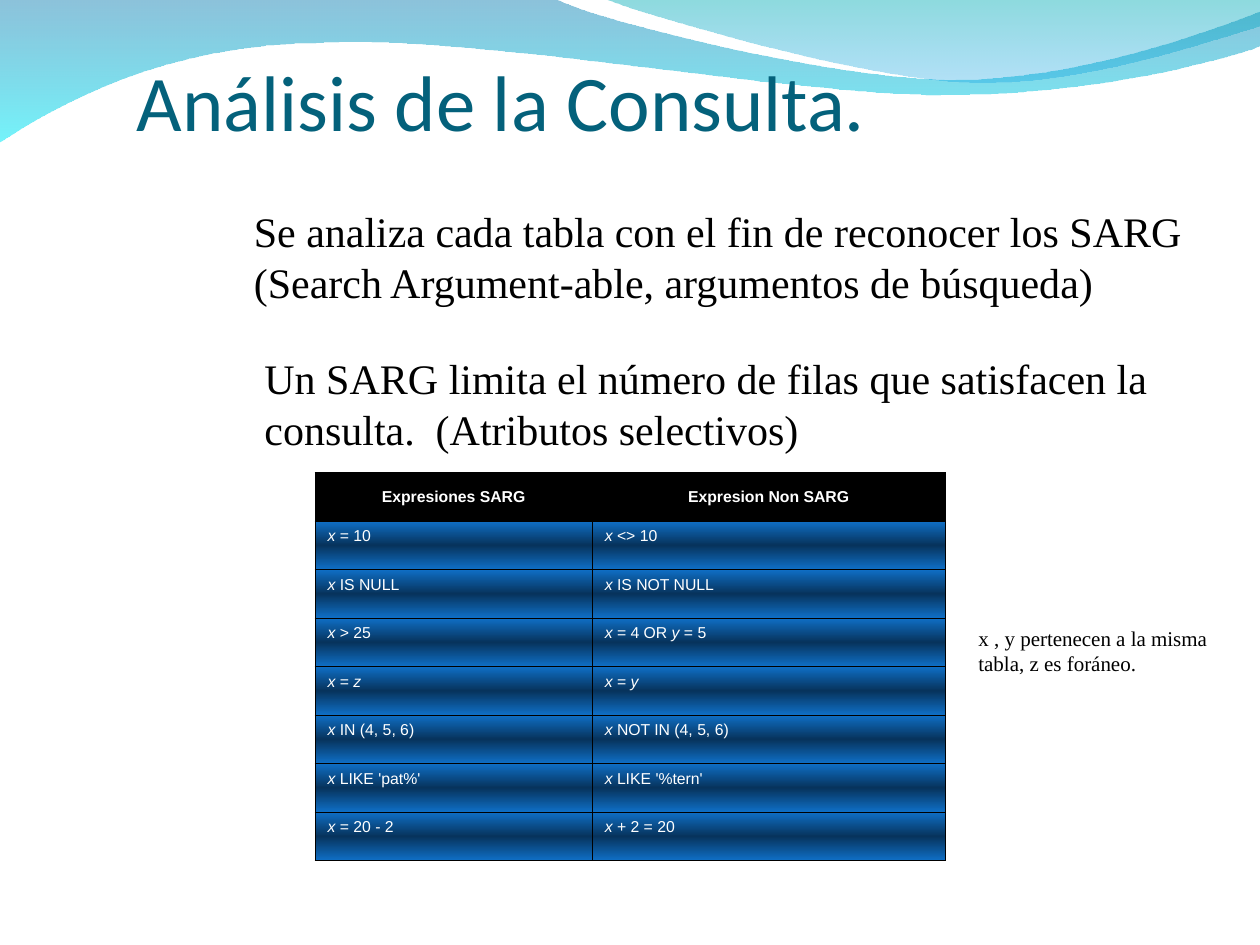
from dataclasses import dataclass
from lxml import etree
from pptx import Presentation, util as u
from pptx.dml.color import RGBColor
from pptx.enum import text as t
from pptx.oxml import ns


@dataclass(frozen=True)
class Theme:
    """Colours, fonts and type sizes; a stop is (percent, colour, opacity)."""
    ink: str = "000000"
    pale: str = "FFFFFF"
    title: str = "04617B"
    wave: tuple = ((0, "0079AF", 45), (100, "00EBF8", 55))
    crest: tuple = ((0, "00ADB6", 45), (100, "009BE5", 30))
    row: tuple = ((0, "0F6FC6", 100), (50, "07335C", 100), (100, "0F6FC6", 100))
    head_font: str = "Calibri"
    body_font: str = "Times New Roman"
    cell_font: str = "Arial"
    big: float = 45
    body: float = 24
    note: float = 12
    cell: float = 9
    rule: float = 0.45


@dataclass(frozen=True)
class Box:
    """Place on a grid of 120 columns by 90 rows."""
    col: float
    row: float
    wide: float
    high: float

    def place(self) -> tuple:
        return tuple(map(unit, (self.col, self.row, self.wide, self.high)))


@dataclass(frozen=True)
class Note:
    words: str
    box: Box
    size: float


@dataclass(frozen=True)
class Wave:
    """Start point, then steps: two numbers draw a line, six a curve (inches)."""
    start: tuple
    steps: tuple
    stops: tuple


THEME = Theme()
COLS, ROWS = 120, 90
INSET = dict(margin_left=0.1, margin_top=0.05, margin_right=0.1, margin_bottom=0.05)

WAVES = (
    Wave((0, -0.01), (
        (4.4, -0.01), (4.76, 0.17, 6.64, 0.63, 7.58, 0.63),
        (8.53, 0.63, 9.58, 0.26, 10, 0.09), (10.01, 0.36),
        (9.83, 0.44, 8.7, 0.76, 7.46, 0.75), (6.22, 0.75, 3.82, 0.28, 2.57, 0.34),
        (1.29, 0.35, 0.46, 0.83, -0.01, 1.13)), THEME.wave),
    Wave((4.79, -0.01), (
        (5.09, 0.11, 6.82, 0.62, 7.69, 0.65), (8.56, 0.69, 9.61, 0.32, 10, 0.21),
        (10, 0)), THEME.crest),
)

NOTES = (
    Note("Se analiza cada tabla con el fin de reconocer los SARG "
         "(Search Argument-able, argumentos de búsqueda)", Box(23, 19, 93, 10.8), THEME.body),
    Note("Un SARG limita el número de filas que satisfacen la consulta.  "
         "(Atributos selectivos)", Box(24, 33, 93, 10.8), THEME.body),
    Note("x , y pertenecen a la misma tabla, z es foráneo.", Box(92, 59, 28, 6), THEME.note),
)

# Words between asterisks are italic
HEADS = ("Expresiones SARG", "Expresion Non SARG")
PAIRS = (
    ("*x* = 10", "*x* <> 10"),
    ("*x* IS NULL", "*x* IS NOT NULL"),
    ("*x* > 25", "*x* = 4 OR *y* = 5"),
    ("*x* = *z*", "*x* = *y*"),
    ("*x* IN (4, 5, 6)", "*x* NOT IN (4, 5, 6)"),
    ("*x* LIKE 'pat%'", "*x* LIKE '%tern'"),
    ("*x *= 20 - 2", "*x *+ 2 = 20"),
)
GRID = Box(30, 45, 60, 37)
SHARES = (0.44, 0.56)


def unit(cells: float) -> int:
    return u.Inches(cells / 12)


def apply(item, values: dict) -> None:
    for name, value in values.items():
        setattr(item, name, value)


def inset(item, values: dict) -> None:
    apply(item, {name: u.Inches(size) for name, size in values.items()})


def style(font, face: str, size: float, color: str, **more) -> None:
    apply(font, dict(name=face, size=u.Pt(size), **more))
    font.color.rgb = RGBColor.from_string(color)


def shade(fill, root, stops: tuple) -> None:
    """Give a fill a top-to-bottom gradient."""
    fill.gradient()
    fill.gradient_angle = 270
    items = root.find(".//" + ns.qn("a:gsLst"))
    for old in list(items):
        items.remove(old)
    for spot, color, alpha in stops:
        stop = etree.SubElement(items, ns.qn("a:gs"), pos=str(spot * 1000))
        tint = etree.SubElement(stop, ns.qn("a:srgbClr"), val=color)
        if alpha < 100:
            etree.SubElement(tint, ns.qn("a:alpha"), val=str(alpha * 1000))


def bend(shape, steps: tuple) -> None:
    """Join the three line points of each six-number step into one curve."""
    lines = iter(shape._element.findall(".//" + ns.qn("a:lnTo")))
    for step in steps:
        line = next(lines)
        if len(step) == 6:
            line.tag = ns.qn("a:cubicBezTo")
            for _ in range(2):
                extra = next(lines)
                line.append(extra[0])
                extra.getparent().remove(extra)


def draw_wave(slide, wave: Wave) -> None:
    flat = [u.Inches(n) for step in (wave.start, *wave.steps) for n in step]
    first, *rest = zip(flat[::2], flat[1::2])
    form = slide.shapes.build_freeform(*first)
    form.add_line_segments(rest, close=True)
    shape = form.convert_to_shape()
    bend(shape, wave.steps)
    shape.shadow.inherit = False
    shape.line.fill.background()
    shade(shape.fill, shape._element, wave.stops)


def draw_title(slide, words: str, box: Box) -> None:
    title = slide.shapes.title
    apply(title, dict(zip(("left", "top", "width", "height"), box.place())))
    frame = title.text_frame
    apply(frame, dict(text=words, word_wrap=True, auto_size=t.MSO_AUTO_SIZE.NONE,
                      vertical_anchor=t.MSO_ANCHOR.BOTTOM))
    inset(frame, dict(INSET, margin_left=0, margin_right=0, margin_bottom=0))
    line = frame.paragraphs[0]
    line.alignment = t.PP_ALIGN.LEFT
    style(line.font, THEME.head_font, THEME.big, THEME.title)
    slide.shapes._spTree.append(title._element)  # in front of the waves


def draw_note(slide, note: Note) -> None:
    frame = slide.shapes.add_textbox(*note.box.place()).text_frame
    apply(frame, dict(word_wrap=True, text=note.words))
    inset(frame, INSET)
    style(frame.paragraphs[0].font, THEME.body_font, note.size, THEME.ink)


def border(cell) -> None:
    props = cell._tc.get_or_add_tcPr()
    for i, side in enumerate(("lnL", "lnR", "lnT", "lnB")):
        line = etree.Element(ns.qn("a:" + side), w=str(u.Pt(THEME.rule)))
        fill = etree.SubElement(line, ns.qn("a:solidFill"))
        etree.SubElement(fill, ns.qn("a:srgbClr"), val=THEME.ink)
        props.insert(i, line)


def draw_cell(cell, words: str, head: bool) -> None:
    inset(cell, INSET)
    cell.vertical_anchor = t.MSO_ANCHOR.MIDDLE if head else t.MSO_ANCHOR.TOP
    line = cell.text_frame.paragraphs[0]
    line.alignment = t.PP_ALIGN.CENTER if head else t.PP_ALIGN.LEFT
    for i, part in enumerate(words.split("*")):
        if part:
            run = line.add_run()
            run.text = part
            style(run.font, THEME.cell_font, THEME.cell, THEME.pale,
                  bold=head, italic=i % 2 == 1)
    if head:
        cell.fill.solid()
        cell.fill.fore_color.rgb = RGBColor.from_string(THEME.ink)
    else:
        shade(cell.fill, cell._tc, THEME.row)
    border(cell)


def draw_table(slide) -> None:
    lines = (HEADS, *PAIRS)
    table = slide.shapes.add_table(len(lines), len(HEADS), *GRID.place()).table
    for col, share in zip(table.columns, SHARES):
        col.width = unit(GRID.wide * share)
    for r, line in enumerate(lines):
        table.rows[r].height = unit(GRID.high / len(lines))
        for c, words in enumerate(line):
            draw_cell(table.cell(r, c), words, r == 0)


def main() -> None:
    deck = Presentation()
    apply(deck, dict(slide_width=unit(COLS), slide_height=unit(ROWS)))
    slide = deck.slides.add_slide(deck.slide_layouts[5])
    # Waves along the top
    for wave in WAVES:
        draw_wave(slide, wave)
    # Title, table and texts
    draw_title(slide, "Análisis de la Consulta. \v", Box(13, 15, 108, 8))
    draw_table(slide)
    for note in NOTES:
        draw_note(slide, note)
    deck.save("out.pptx")


if __name__ == "__main__":
    main()
